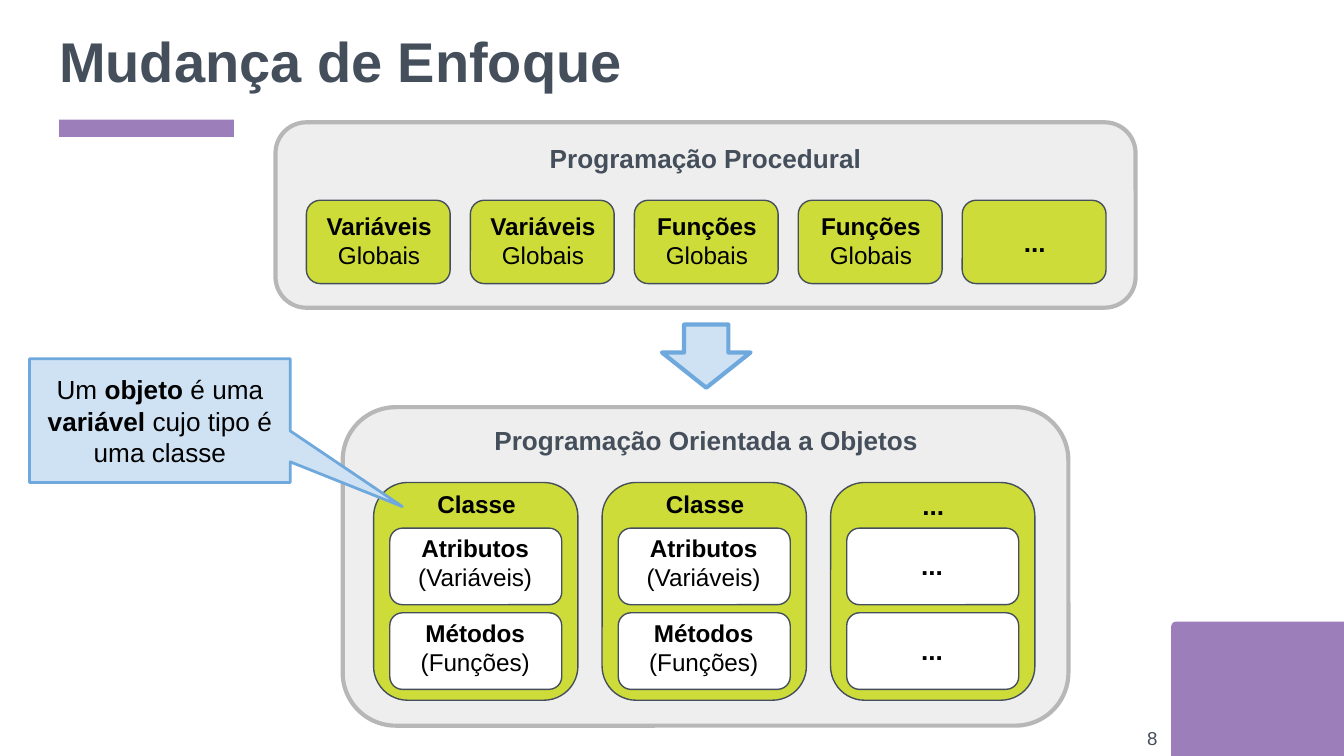
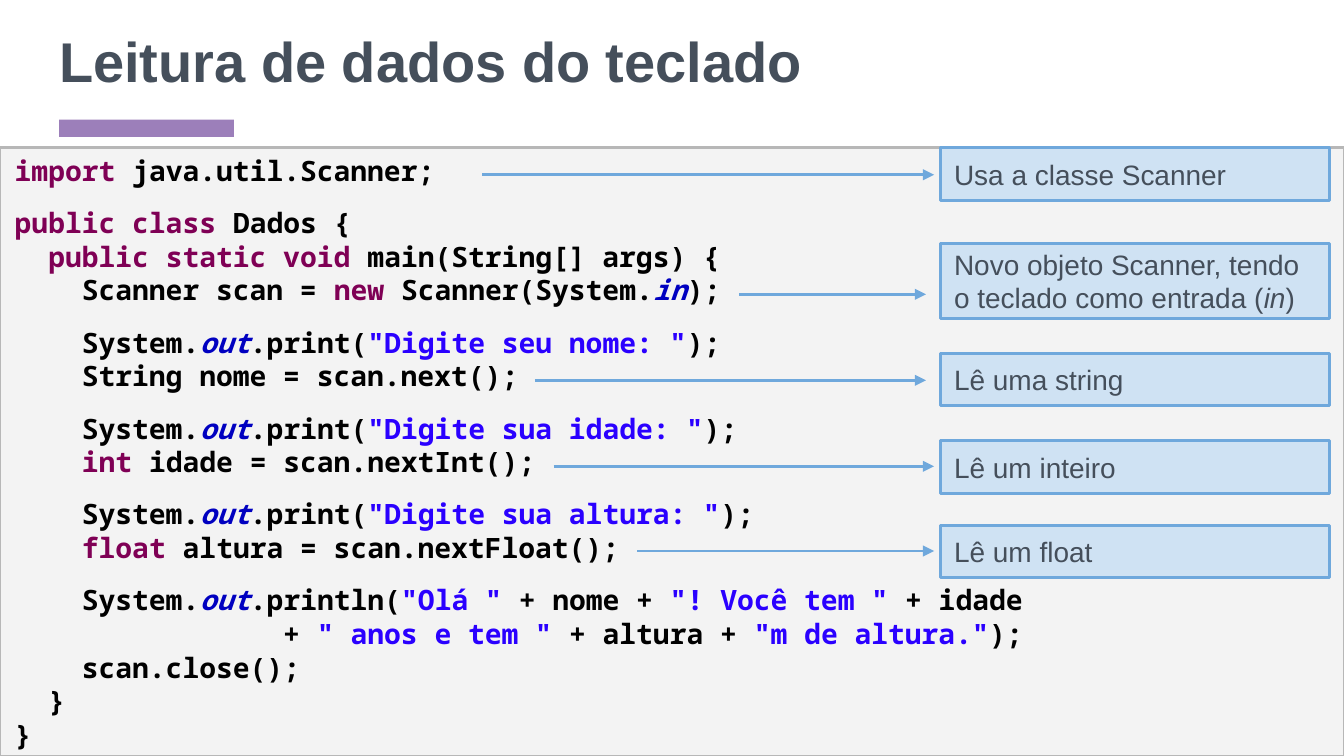
"""Builds two lecture slides on object orientation and keyboard input in Java."""
from dataclasses import dataclass

from lxml import etree
from pptx import Presentation
from pptx import util as u
from pptx.dml.color import RGBColor
from pptx.enum import shapes, text
from pptx.oxml import ns


@dataclass(frozen=True)
class Theme:
    sans: str = "Arial"
    mono: str = "Noto Sans Mono"
    ink: str = "454F5B"
    black: str = "000000"
    white: str = "FFFFFF"
    purple: str = "9C7FBA"
    lime: str = "CDDC39"
    panel: str = "EEEEEE"
    code_bg: str = "F3F3F3"
    gray: str = "B7B7B7"
    sky: str = "CFE2F3"
    blue: str = "6FA8DC"
    keyword: str = "7F0055"
    field: str = "0000C0"
    string: str = "2A00FF"
    title_size: int = 30
    note_size: int = 15
    head_size: int = 14
    label_size: int = 13
    number_size: int = 10


T = Theme()
ST, AL, AN = shapes.MSO_SHAPE, text.PP_ALIGN, text.MSO_ANCHOR


def box(container, kind, at, fill=None, line=None, width=0.75):
    """Adds a preset shape, or a text box when kind is None."""
    frame = [u.Inches(v) for v in at]
    if kind is None:
        return container.add_textbox(*frame)
    sp = container.add_shape(kind, *frame)
    sp.shadow.inherit = False
    sp.fill.solid()
    sp.fill.fore_color.rgb = RGBColor.from_string(fill)
    if line:
        sp.line.color.rgb = RGBColor.from_string(line)
        sp.line.width = u.Pt(width)
    else:
        sp.line.fill.background()
    return sp


def write(sp, lines, size, color=T.black, font=T.sans, align=AL.CENTER,
          anchor=AN.TOP, margins=(0.1, 0.1)):
    """Writes lines of (text, styles) runs; styles name b, i, gap or a colour."""
    tf = sp.text_frame
    tf.word_wrap = True
    tf.auto_size = text.MSO_AUTO_SIZE.NONE
    tf.vertical_anchor = anchor
    tf.margin_left = tf.margin_right = u.Inches(margins[0])
    tf.margin_top = tf.margin_bottom = u.Inches(margins[1])
    for i, runs in enumerate(lines):
        p = tf.add_paragraph() if i else tf.paragraphs[0]
        p.alignment = align
        for value, *styles in runs:
            if value == "\n":
                p.add_line_break()
                continue
            if "gap" in styles:
                p.space_before = u.Pt(10)
            r = p.add_run()
            r.text = value
            r.font.name = font
            r.font.size = u.Pt(size)
            r.font.bold = "b" in styles or font == T.mono
            r.font.italic = "i" in styles or "field" in styles
            shade = next((getattr(T, n) for n in styles
                          if n in ("keyword", "field", "string")), color)
            r.font.color.rgb = RGBColor.from_string(shade)


prs = Presentation()
prs.slide_width, prs.slide_height = u.Inches(10), u.Inches(5.625)
layout = prs.slide_layouts[5]
for ph in list(layout.placeholders):
    if ph.placeholder_format.type != shapes.PP_PLACEHOLDER.TITLE:
        ph.element.getparent().remove(ph.element)

slides = []
for title in ("Mudança de Enfoque", "Leitura de dados do teclado"):
    s = prs.slides.add_slide(layout)
    sp = s.shapes.title
    sp.left, sp.top, sp.width, sp.height = [u.Inches(v) for v in (0.34, 0, 9.32, 0.89)]
    write(sp, [[(title, "b")]], T.title_size, T.ink, align=AL.LEFT, anchor=AN.MIDDLE)
    slides.append(s)

s = slides[0]
corner = box(s.shapes, ST.ROUND_1_RECTANGLE, (8.86, 4.48, 1.01, 1.3), T.purple)
corner.rotation = 270
corner.adjustments[0] = 0.034
bar = box(s.shapes, ST.RECTANGLE, (0.44, 0.89, 1.3, 0.13), T.purple)
for sp in (corner, bar):
    layout.shapes.element.append(sp.element)

sp = box(s.shapes, None, (8.11, 5.28, 0.6, 0.43))
write(sp, [[("8",)]], T.number_size, T.ink, align=AL.RIGHT, anchor=AN.MIDDLE)

ROUND = ST.ROUNDED_RECTANGLE
panels = [
    ((2.05, 0.91, 6.4, 1.38), (3.88, 0.96, 2.74, 0.43), "Programação Procedural"),
    ((2.55, 3.03, 5.4, 2.37), (3.46, 3.06, 3.59, 0.43), "Programação Orientada a Objetos"),
]
for panel_at, head_at, heading in panels:
    box(s.shapes, ROUND, panel_at, T.panel, T.gray, 2.25)
    write(box(s.shapes, None, head_at), [[(heading, "b")]], T.head_size, T.ink)

for i, name in enumerate(("Variáveis", "Variáveis", "Funções", "Funções", "...")):
    x = 2.28 + 1.22 * i
    group = s.shapes.add_group_shape()
    box(group.shapes, ROUND, (x, 1.49, 1.07, 0.62), T.lime, T.ink)
    sp = box(group.shapes, None, (x + 0.01, 1.47, 1.06, 0.66))
    if name == "...":
        write(sp, [[(name, "b")]], T.head_size, anchor=AN.MIDDLE)
    else:
        write(sp, [[(name, "b"), (" Globais",)]], T.label_size)

members = [("Atributos", "(Variáveis)"), ("Métodos", "(Funções)")]
for i, name in enumerate(("Classe", "Classe", "...")):
    x = 2.78 + 1.7 * i
    unnamed = name == "..."
    box(s.shapes, ROUND, (x, 3.59, 1.52, 1.62), T.lime, T.ink)
    sp = box(s.shapes, None, (x + 0.01, 3.54, 1.51, 0.43))
    write(sp, [[(name, "b")]], T.head_size if unnamed else T.label_size)
    for j, (member, meaning) in enumerate(members):
        y = 3.93 + 0.63 * j
        box(s.shapes, ROUND, (x + 0.12, y, 1.28, 0.57), T.white, T.ink)
        sp = box(s.shapes, None, (x + 0.16, y - (0.01 if unnamed else 0.06), 1.19, 0.57))
        if unnamed:
            write(sp, [[(name, "b")]], T.head_size, anchor=AN.MIDDLE)
        else:
            write(sp, [[(member, "b"), ("\n",), (meaning,)]], T.label_size)

arrow = box(s.shapes, ST.LEFT_ARROW, (5.02, 2.32, 0.47, 0.66), T.sky, T.blue, 2.25)
arrow.rotation = 270
arrow.adjustments[1] = 0.559

callout = box(s.shapes, ST.ROUNDED_RECTANGULAR_CALLOUT, (0.22, 2.67, 1.94, 0.92),
              T.sky, T.blue, 1.5)
for i, value in enumerate((0.93, 0.695, 0)):
    callout.adjustments[i] = value
write(callout, [[("Um ",), ("objeto", "b"), (" é uma ",), ("variável", "b"),
                 (" cujo tipo é uma classe",)]], T.head_size, anchor=AN.MIDDLE)

s = slides[1]
system_out = [("    System.", "gap"), ("out", "field")]
ask_name, ask_age, ask_height = [
    system_out + [(".print(",), (f'"Digite {what}: "', "string"), (");",)]
    for what in ("seu nome", "sua idade", "sua altura")]
code = [
    [("import", "keyword"), (" java.util.Scanner;",)],
    [("public class", "keyword", "gap"), (" Dados {",)],
    [("  ",), ("public static void", "keyword"), (" main(String[] args) {",)],
    [("    Scanner scan = ",), ("new", "keyword"), (" Scanner(System.",),
     ("in", "field"), (");",)],
    ask_name,
    [("    String nome = scan.next();",)],
    ask_age,
    [("    ",), ("int", "keyword"), (" idade = scan.nextInt();",)],
    ask_height,
    [("    ",), ("float", "keyword"), (" altura = scan.nextFloat();",)],
    system_out + [(".println(",), ('"Olá "', "string"), (" + nome + ",),
                  ('"! Você tem "', "string"), (" + idade",)],
    [("                + ",), ('" anos e tem "', "string"), (" + altura + ",),
     ('"m de altura."', "string"), (");",)],
    [("    scan.close();",)],
    [("  }",)],
    [("}",)],
]
sp = box(s.shapes, ST.RECTANGLE, (0, 1.1, 10, 4.53), T.code_bg, T.gray, 1.44)
write(sp, code, T.note_size, font=T.mono, align=AL.LEFT, anchor=AN.MIDDLE,
      margins=(0.11, 0.06))

notes = [
    (1.1, 0.39, [("Usa a classe Scanner",)], 3.59, 6.95, 1.3),
    (1.81, 0.56, [("Novo objeto Scanner, tendo o teclado como entrada (",),
                  ("in", "i"), (")",)], 5.5, 6.89, 2.19),
    (2.63, 0.39, [("Lê uma string",)], 3.98, 6.89, 2.83),
    (3.28, 0.39, [("Lê um inteiro",)], 4.12, 6.95, 3.47),
    (3.91, 0.39, [("Lê um float",)], 4.74, 6.95, 4.1),
]
for top, height, runs, start, end, y in notes:
    sp = box(s.shapes, ST.RECTANGLE, (7, top, 2.89, height), T.sky, T.blue, 1.5)
    write(sp, [runs], T.note_size, T.ink, align=AL.LEFT, anchor=AN.MIDDLE)
    cx = s.shapes.add_connector(shapes.MSO_CONNECTOR.STRAIGHT, u.Inches(start),
                                u.Inches(y), u.Inches(end), u.Inches(y))
    cx.line.color.rgb = RGBColor.from_string(T.blue)
    cx.line.width = u.Pt(1.5)
    etree.SubElement(cx.line._get_or_add_ln(), ns.qn("a:tailEnd"), type="triangle")
    etree.SubElement(cx.element.spPr, ns.qn("a:effectLst"))

prs.save("out.pptx")
